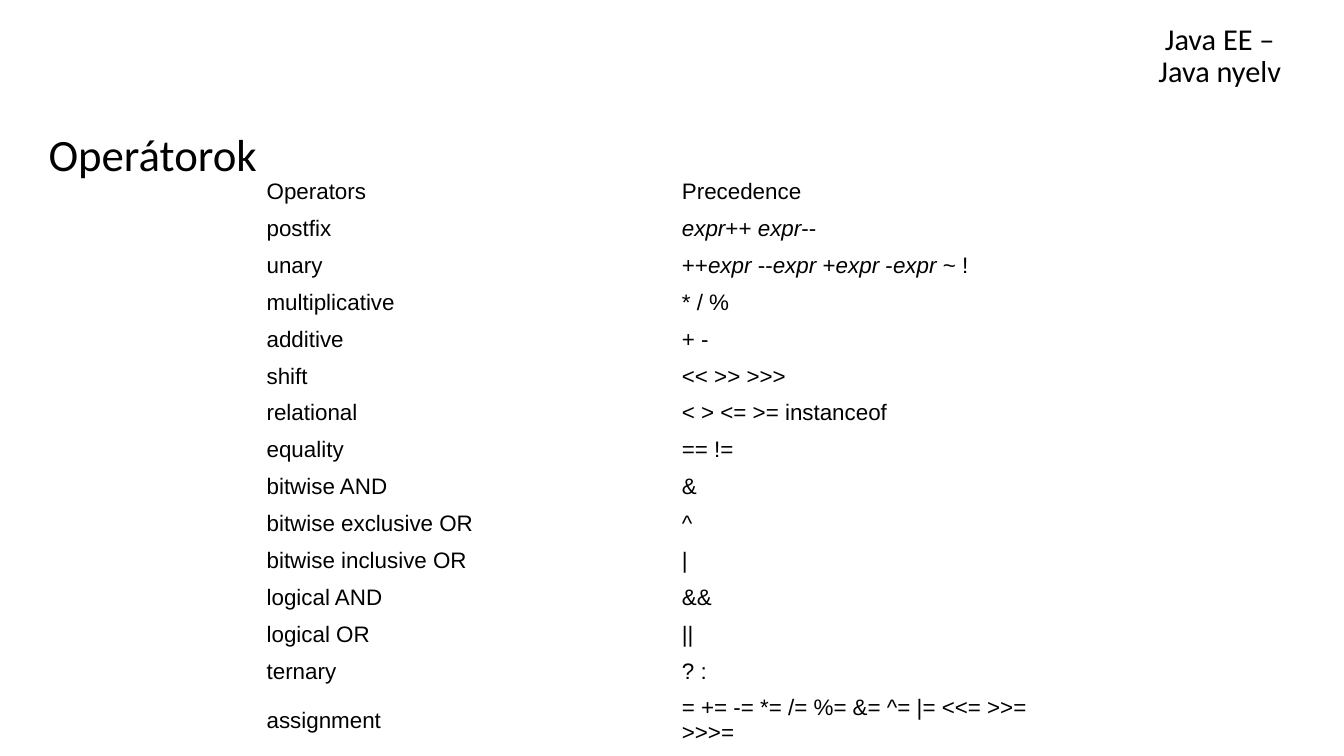
from dataclasses import dataclass

from pptx import Presentation
from pptx.dml.color import RGBColor
from pptx.enum.text import MSO_ANCHOR, PP_ALIGN
from pptx.util import Inches, Pt


@dataclass(frozen=True)
class Theme:
    ink: RGBColor = RGBColor(0, 0, 0)
    paper: RGBColor = RGBColor(255, 255, 255)
    heading_font: str = "Calibri"
    table_font: str = "Arial"
    course_size: float = 16.2
    topic_size: float = 24
    table_size: float = 12


THEME = Theme()
WIDTH = Inches(10)
HEIGHT = WIDTH * 9 // 16
COURSE_BOX = (82.3, 1.3, 16.9, 11.4)
TOPIC_BOX = (2.63, 16.7, 94.3, 8.5)
TABLE_BOX = (19.14, 22.93, 61.8, 73.2)
OPERAND = "expr"
OPERATORS = [
    ("Operators", "Precedence"),
    ("postfix", "expr++ expr--"),
    ("unary", "++expr --expr +expr -expr ~ !"),
    ("multiplicative", "* / %"),
    ("additive", "+ -"),
    ("shift", "<< >> >>>"),
    ("relational", "< > <= >= instanceof"),
    ("equality", "== !="),
    ("bitwise AND", "&"),
    ("bitwise exclusive OR", "^"),
    ("bitwise inclusive OR", "|"),
    ("logical AND", "&&"),
    ("logical OR", "||"),
    ("ternary", "? :"),
    ("assignment", "= += -= *= /= %= &= ^= |= <<= >>= >>>="),
]


def place(box):
    left, top, width, height = box
    return (round(left * WIDTH / 100), round(top * HEIGHT / 100),
            round(width * WIDTH / 100), round(height * HEIGHT / 100))


def add_span(para, text, font, size, italic=False):
    span = para.add_run()
    span.text = text
    span.font.name = font
    span.font.size = Pt(size)
    span.font.bold = False
    span.font.italic = italic
    span.font.color.rgb = THEME.ink


def add_heading(page, box, lines, size, anchor, align):
    frame = page.shapes.add_textbox(*place(box)).text_frame
    frame.word_wrap = True
    frame.vertical_anchor = anchor
    para = frame.paragraphs[0]
    para.alignment = align
    para.line_spacing = 0.9
    for index, line in enumerate(lines):
        if index:
            para.add_line_break()
        add_span(para, line, THEME.heading_font, size)


def fill_cell(cell, text):
    cell.fill.background()
    cell.vertical_anchor = MSO_ANCHOR.MIDDLE
    cell.margin_left = cell.margin_right = Inches(0.07)
    cell.margin_top = cell.margin_bottom = Inches(0.03)
    para = cell.text_frame.paragraphs[0]
    for index, part in enumerate(text.split(OPERAND)):
        if index:
            add_span(para, OPERAND, THEME.table_font, THEME.table_size, True)
        if part:
            add_span(para, part, THEME.table_font, THEME.table_size)


def add_operator_table(page, box, entries):
    left, top, width, height = place(box)
    table = page.shapes.add_table(
        len(entries), len(entries[0]), left, top, width, height).table
    table.first_row = False
    table.horz_banding = False
    for row, entry in zip(table.rows, entries):
        row.height = height // len(entries)
        for cell, text in zip(row.cells, entry):
            fill_cell(cell, text)


def build_operator_page(deck):
    page = deck.slides.add_slide(deck.slide_layouts[6])
    page.background.fill.solid()
    page.background.fill.fore_color.rgb = THEME.paper
    add_heading(page, COURSE_BOX, ["Java EE –", "Java nyelv"],
                THEME.course_size, MSO_ANCHOR.BOTTOM, PP_ALIGN.CENTER)
    add_heading(page, TOPIC_BOX, ["Operátorok"],
                THEME.topic_size, MSO_ANCHOR.TOP, PP_ALIGN.LEFT)
    add_operator_table(page, TABLE_BOX, OPERATORS)


def main():
    deck = Presentation()
    deck.slide_width, deck.slide_height = WIDTH, HEIGHT
    build_operator_page(deck)
    deck.save("out.pptx")


if __name__ == "__main__":
    main()
